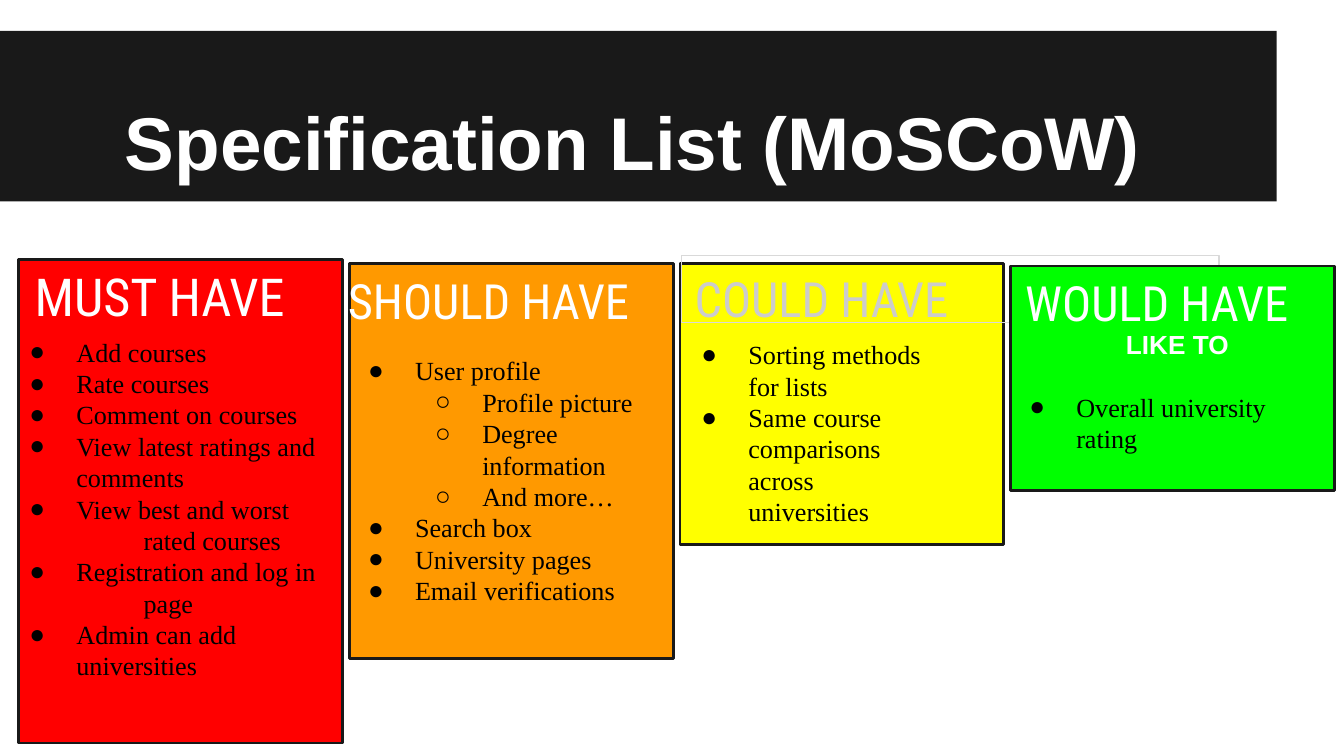
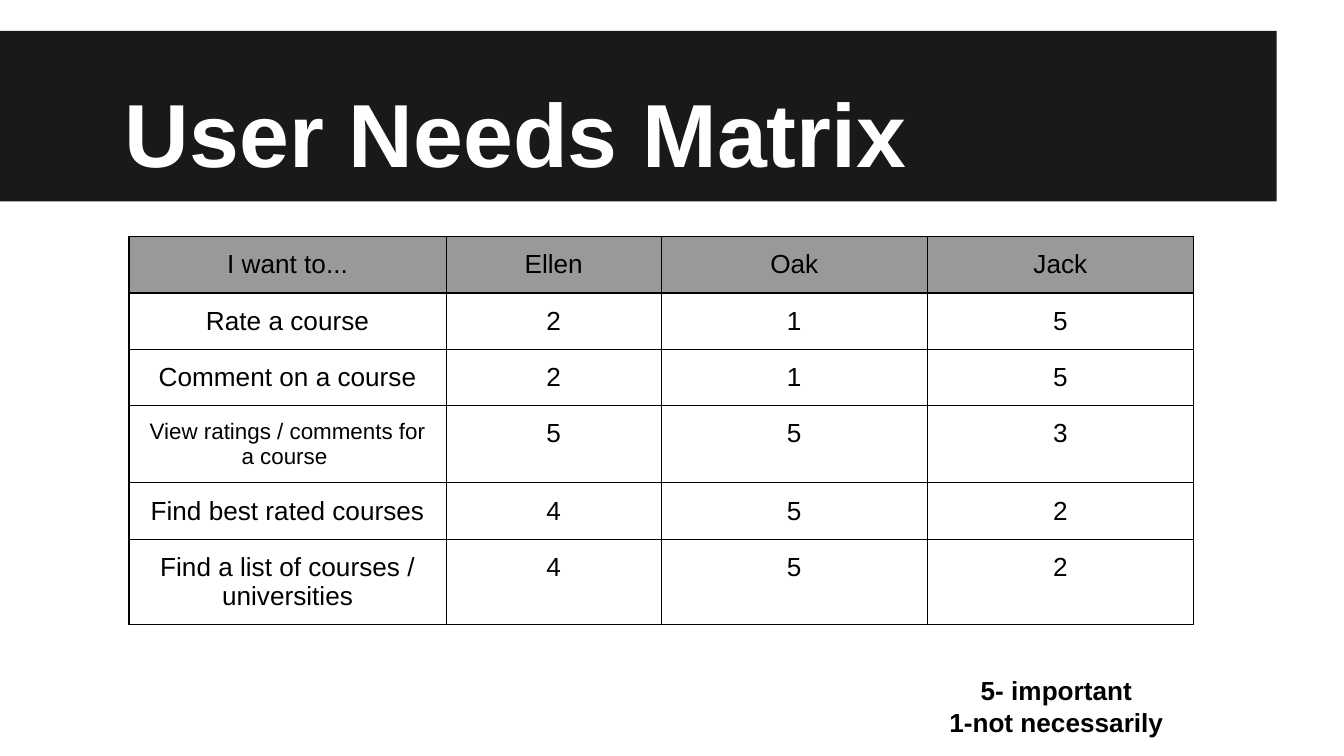
from dataclasses import dataclass
from typing import NamedTuple, Optional

from lxml import etree
from pptx import Presentation
from pptx import util as u
from pptx.dml.color import RGBColor
from pptx.enum import shapes, text
from pptx.oxml import ns

PX = 9144  # 100 px to the inch
INK, WHITE, BLACK = "191919", "FFFFFF", "000000"
PALE, HEADER = "D9D9D9", "999999"
INSET = 10


class Box(NamedTuple):
    left: int
    top: int
    width: int
    height: int


class Style(NamedTuple):
    font: str
    size: int
    color: str = BLACK
    bold: bool = False
    align: text.PP_ALIGN = text.PP_ALIGN.LEFT


class Line(NamedTuple):
    words: str
    left: int = 50
    first: int = -35
    bullet: Optional[str] = "●"
    level: int = 0


@dataclass
class Heading:
    words: str
    box: Box
    style: Style
    border: Optional[str] = None


@dataclass
class Card:
    top: int
    height: int
    fill: str
    headings: list[Heading]
    list_box: Box
    lines: list[Line]


LIST_STYLE = Style("Times New Roman", 14)
CELL_STYLE = Style("Arial", 14, align=text.PP_ALIGN.CENTER)
NOTE_STYLE = CELL_STYLE._replace(bold=True)


def heading_style(size: int, color: str = WHITE) -> Style:
    return Style("Roboto Condensed", size, color)


def plain(words: str, first: int = 0) -> Line:
    return Line(words, 0, first, None)


def sub(words: str) -> Line:
    return Line(words, left=100, bullet="○", level=1)


# MoSCoW cards, equally wide and equally spaced
CARD_LEFT, CARD_STEP, CARD_WIDTH = 14, 246, 241
CARDS = [
    Card(193, 360, "FF0000",
         [Heading("MUST HAVE", Box(16, 187, 400, 50), heading_style(28))],
         Box(-3, 240, 265, 288),
         [Line("Add courses"), Line("Rate courses"),
          Line("Comment on courses"), Line("View latest ratings and"),
          plain("comments", 50), Line("View best and worst"),
          plain("rated courses", 100), Line("Registration and log in"),
          plain("page", 100), Line("Admin can add universities")]),
    Card(196, 294, "FF9900",
         [Heading("SHOULD HAVE", Box(249, 192, 400, 50), heading_style(26))],
         Box(249, 254, 256, 137),
         [Line("User profile"), sub("Profile picture"),
          sub("Degree information"), sub("And more…"), Line("Search box"),
          Line("University pages"), Line("Email verifications")]),
    Card(196, 209, "FFFF00",
         [Heading("COULD HAVE", Box(507, 190, 400, 50),
                  heading_style(26, "CCCCCC"), PALE)],
         Box(497, 242, 209, 167),
         [Line("Sorting methods for lists"),
          Line("Same course comparisons across universities")]),
    Card(198, 167, "00FF00",
         [Heading("WOULD HAVE", Box(753, 193, 400, 50), heading_style(26)),
          Heading("LIKE TO", Box(828, 234, 400, 50),
                  Style("Arial", 14, WHITE, True))],
         Box(741, 281, 241, 50),
         [Line("Overall university rating")]),
]

# User needs, scored by each person
COLUMN_WIDTHS = [236, 160, 198, 198]
ROW_HEIGHT = 42
NEEDS = [
    ["I want to...", "Ellen", "Oak", "Jack"],
    ["Rate a course", "2", "1", "5"],
    ["Comment on a course", "2", "1", "5"],
    ["View ratings / comments for a course ", "5", "5", "3"],
    ["Find best rated courses", "4", "5", "2"],
    ["Find a list of courses / universities", "4", "5", "2"],
]
SMALL_CELL = (3, 0)


def px(length: int) -> u.Emu:
    return u.Emu(length * PX)


def place(box: Box) -> list[u.Emu]:
    return [px(length) for length in box]


def rgb(color: str) -> RGBColor:
    return RGBColor.from_string(color)


def child(parent, tag: str, **attributes: str):
    return etree.SubElement(parent, ns.qn(tag), attributes)


def write(frame, lines: list[Line], style: Style) -> None:
    """Fill a text frame with one paragraph per line."""
    frame.text = "\n".join(line.words for line in lines)
    for paragraph, line in zip(frame.paragraphs, lines):
        paragraph.level = line.level
        paragraph.alignment = style.align
        paragraph.space_before = u.Pt(0)
        properties = paragraph._p.get_or_add_pPr()
        properties.set("marL", str(px(line.left)))
        properties.set("indent", str(px(line.first)))
        if line.bullet:
            child(child(properties, "a:buClr"), "a:srgbClr", val=style.color)
            child(properties, "a:buFont", typeface="Arial")
            child(properties, "a:buChar", char=line.bullet)
        else:
            child(properties, "a:buNone")
        for run in paragraph.runs:
            run.font.name = style.font
            run.font.size = u.Pt(style.size)
            run.font.bold = style.bold
            run.font.color.rgb = rgb(style.color)


def set_frame(frame, anchor=text.MSO_ANCHOR.TOP) -> None:
    frame.word_wrap = True
    frame.auto_size = text.MSO_AUTO_SIZE.NONE
    frame.vertical_anchor = anchor
    frame.margin_left = frame.margin_right = px(INSET)
    frame.margin_top = frame.margin_bottom = px(INSET)


def add_rectangle(slide, box: Box, fill: Optional[str] = None,
                  border: Optional[str] = None, weight: float = 1.5):
    shape = slide.shapes.add_shape(shapes.MSO_SHAPE.RECTANGLE, *place(box))
    shape.shadow.inherit = False
    if fill:
        shape.fill.solid()
        shape.fill.fore_color.rgb = rgb(fill)
    else:
        shape.fill.background()
    if border:
        shape.line.color.rgb = rgb(border)
        shape.line.width = u.Pt(weight)
    else:
        shape.line.fill.background()
    return shape


def add_text(slide, box: Box, lines: list[Line], style: Style,
             border: Optional[str] = None) -> None:
    if border:
        shape = add_rectangle(slide, box, border=border, weight=0.75)
    else:
        shape = slide.shapes.add_textbox(*place(box))
    set_frame(shape.text_frame)
    write(shape.text_frame, lines, style)


def add_titled_slide(presentation, layout, title: str, size: int):
    slide = presentation.slides.add_slide(layout)
    shape = slide.shapes.title
    shape.left, shape.top, shape.width, shape.height = place(
        Box(50, 23, 900, 125))
    set_frame(shape.text_frame, text.MSO_ANCHOR.BOTTOM)
    write(shape.text_frame, [plain(title, 33)],
          Style("Arial", size, WHITE, True))
    return slide


def add_card(slide, index: int, card: Card) -> None:
    box = Box(CARD_LEFT + index * CARD_STEP, card.top, CARD_WIDTH, card.height)
    add_rectangle(slide, box, card.fill, INK)
    for heading in card.headings:
        add_text(slide, heading.box, [plain(heading.words)], heading.style,
                 heading.border)


def set_borders(cell) -> None:
    properties = cell._tc.get_or_add_tcPr()
    for position, side in enumerate(("a:lnL", "a:lnR", "a:lnT", "a:lnB")):
        border = child(properties, side, w=str(u.Pt(0.75)))
        child(child(border, "a:solidFill"), "a:srgbClr", val=BLACK)
        properties.insert(position, border)


def add_needs_table(slide) -> None:
    box = Box(96, 176, sum(COLUMN_WIDTHS), ROW_HEIGHT * len(NEEDS))
    table = slide.shapes.add_table(
        len(NEEDS), len(COLUMN_WIDTHS), *place(box)).table
    table.first_row = table.horz_banding = False
    for column, width in zip(table.columns, COLUMN_WIDTHS):
        column.width = px(width)
    for row_index, row in enumerate(NEEDS):
        for column_index, words in enumerate(row):
            cell = table.cell(row_index, column_index)
            cell.margin_left = cell.margin_right = px(INSET)
            cell.margin_top = cell.margin_bottom = px(INSET)
            small = (row_index, column_index) == SMALL_CELL
            style = CELL_STYLE._replace(size=12) if small else CELL_STYLE
            write(cell.text_frame, [plain(words)], style)
            if row_index == 0:
                cell.fill.solid()
                cell.fill.fore_color.rgb = rgb(HEADER)
            else:
                cell.fill.background()
            set_borders(cell)


def main() -> None:
    presentation = Presentation()
    presentation.slide_width = px(1000)
    presentation.slide_height = u.Emu(presentation.slide_width * 9 // 16)
    layout = presentation.slide_layouts.get_by_name("Title Only")

    # Specification list
    slide = add_titled_slide(presentation, layout,
                             "Specification List (MoSCoW)", 40)
    # The dark band belongs to the layout, behind every title
    band = add_rectangle(slide, Box(0, 23, 950, 127), INK)
    layout.placeholders[0].element.addprevious(band.element)
    for index, card in enumerate(CARDS):
        add_card(slide, index, card)
    for card in CARDS:
        add_text(slide, card.list_box, card.lines, LIST_STYLE)

    # User needs matrix
    slide = add_titled_slide(presentation, layout, "User Needs Matrix", 48)
    add_needs_table(slide)
    add_text(slide, Box(655, 492, 262, 33),
             [plain("5- important"), plain("1-not necessarily")], NOTE_STYLE)

    presentation.save("out.pptx")


if __name__ == "__main__":
    main()
